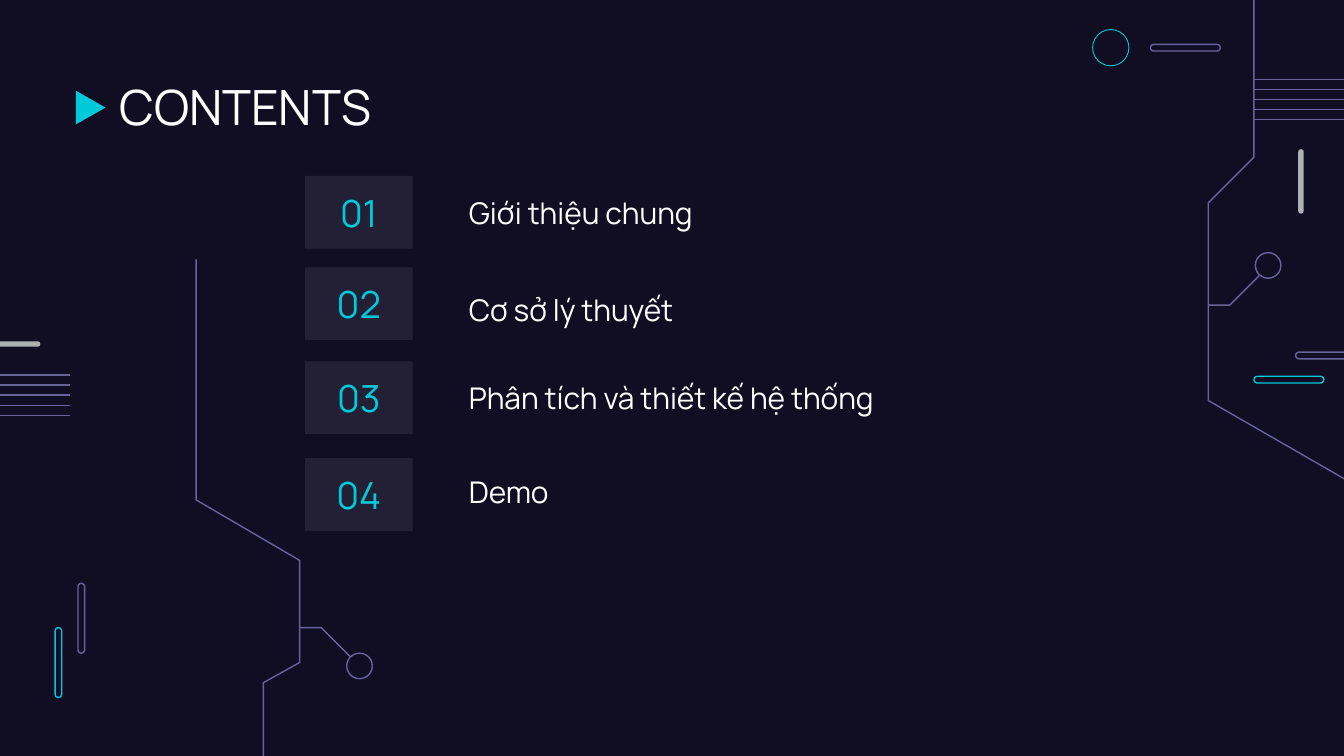
from lxml import etree
from pptx import Presentation
from pptx.dml.color import RGBColor
from pptx.enum.shapes import MSO_CONNECTOR as LINE, MSO_SHAPE as SHAPE
from pptx.enum.text import MSO_ANCHOR as ANCHOR, PP_ALIGN as ALIGN
from pptx.oxml.ns import qn
from pptx.util import Inches, Pt

COLORS = {"night": "110E24", "cyan": "00CADA", "violet": "69639C",
          "silver": "AFAFB6", "white": "FFFFFF"}
FONT = "Manrope"
ROWS = [("01", "Giới thiệu chung", 0, 0),
        ("02", "Cơ sở lý thuyết", 0.68, 0.72),
        ("03", "Phân tích và thiết kế hệ thống", 1.38, 1.38),
        ("04", "Demo", 2.1, 2.08)]


def color(name):
    """Return the palette colour with this name."""
    return RGBColor.from_string(COLORS[name])


def paint(shape, fill=None, line=None, width=0.75):
    """Give a shape a flat fill and an outline, or none."""
    shape.shadow.inherit = False
    if fill:
        shape.fill.solid()
        shape.fill.fore_color.rgb = color(fill)
    else:
        shape.fill.background()
    if line:
        shape.line.color.rgb = color(line)
        shape.line.width = Pt(width)
    else:
        shape.line.fill.background()


def add_preset(page, kind, box, **style):
    """Add a painted preset shape in a box given in inches."""
    shape = page.shapes.add_shape(kind, *map(Inches, box))
    paint(shape, **style)
    return shape


def add_pill(page, box, **style):
    """Add a bar with fully rounded ends."""
    pill = add_preset(page, SHAPE.ROUNDED_RECTANGLE, box, **style)
    pill.adjustments[0] = 0.5


def add_trace(page, left, top, points):
    """Draw an open violet path through points relative to a corner."""
    start, *rest = [(Inches(left + x), Inches(top + y)) for x, y in points]
    builder = page.shapes.build_freeform(*start)
    builder.add_line_segments(rest, close=False)
    paint(builder.convert_to_shape(), line="violet")


def add_branch(page, left, top, way):
    """Draw a branch that ends in a ring, down for way 1 and up for -1."""
    add_trace(page, left, top, [(0, 0), (0.16, 0), (0.38, 0.22 * way)])
    ring = (left + 0.35, top + 0.29 * way - 0.1, 0.19, 0.19)
    add_preset(page, SHAPE.OVAL, ring, line="violet")


def add_stripes(page, left, top, length):
    """Draw five evenly spaced horizontal lines."""
    for index in range(5):
        y = Inches(top + 0.3 * index / 4)
        stripe = page.shapes.add_connector(
            LINE.STRAIGHT, Inches(left), y, Inches(left + length), y)
        stripe.line.color.rgb = color("violet")
        stripe.line.width = Pt(0.75)
        etree.SubElement(stripe._element.spPr, qn("a:effectLst"))


def add_right_circuit(page, left, top):
    """Draw the circuit at the right edge."""
    add_trace(page, left, top, [(1.13, 3.63), (0, 2.98), (0, 1.51),
                                (0.34, 1.17), (0.34, -0.06)])
    add_branch(page, left, top + 2.27, -1)
    add_stripes(page, left + 0.34, top + 0.59, 1.47)
    add_preset(page, SHAPE.OVAL, (left - 0.86, top + 0.22, 0.27, 0.27),
               line="cyan", width=0.47)
    for x, y, tint in [(-0.43, 0.33, "violet"), (0.65, 2.62, "violet"),
                       (0.34, 2.8, "cyan")]:
        add_pill(page, (left + x, top + y, 0.52, 0.05), line=tint)
    add_pill(page, (left + 0.67, top + 1.11, 0.04, 0.48), fill="silver")


def add_left_circuit(page, left, top):
    """Draw the circuit at the left edge."""
    add_trace(page, left, top, [(1.46, 1.93), (1.46, 3.72), (2.23, 4.17),
                                (2.23, 4.93), (1.96, 5.08), (1.96, 5.71)])
    add_branch(page, left + 2.23, top + 4.67, 1)
    add_stripes(page, left - 0.61, top + 2.79, 1.13)
    for x, y, tint in [(0.41, 4.67, "cyan"), (0.58, 4.34, "violet")]:
        add_pill(page, (left + x, top + y, 0.05, 0.52), line=tint)
    add_pill(page, (left - 0.18, top + 2.54, 0.48, 0.04), fill="silver")


def write(shape, text, size, tint, align=ALIGN.LEFT, anchor=ANCHOR.MIDDLE):
    """Write one line of text into a shape."""
    frame = shape.text_frame
    inset = Inches(0.1)
    layout = {"word_wrap": True, "vertical_anchor": anchor,
              "margin_left": inset, "margin_right": inset,
              "margin_top": inset, "margin_bottom": inset}
    for name, value in layout.items():
        setattr(frame, name, value)
    para = frame.paragraphs[0]
    para.alignment = align
    span = para.add_run()
    span.text = text
    for name, value in {"name": FONT, "size": Pt(size)}.items():
        setattr(span.font, name, value)
    span.font.color.rgb = color(tint)


def add_heading(page, left, top):
    """Place the heading with its pointer."""
    pointer = add_preset(page, SHAPE.FLOWCHART_MERGE,
                         (left, top + 0.22, 0.25, 0.22), fill="cyan")
    pointer.rotation = 270
    box = page.shapes.add_textbox(*map(Inches, (left + 0.24, top, 8.43, 0.63)))
    write(box, "CONTENTS", 26, "white", anchor=ANCHOR.TOP)


def add_contents(page, left, top):
    """Place the numbered rows of the contents."""
    for number, label, number_top, label_top in ROWS:
        tile = add_preset(page, SHAPE.RECTANGLE,
                          (left, top + number_top, 0.8, 0.54), fill="white")
        tint = tile._element.spPr.find(qn("a:solidFill"))[0]
        etree.SubElement(tint, qn("a:alpha"), val="8000")
        write(tile, number, 20, "cyan", ALIGN.CENTER)
        place = (left + 1.12, top + label_top, 3.51, 0.54)
        box = page.shapes.add_textbox(*map(Inches, place))
        write(box, label, 16, "white")


def main():
    """Build the contents slide and save it."""
    deck = Presentation()
    deck.slide_width, deck.slide_height = Inches(10), Inches(10) * 9 // 16
    page = deck.slides.add_slide(deck.slide_layouts[6])
    page.background.fill.solid()
    page.background.fill.fore_color.rgb = color("night")
    add_right_circuit(page, 8.99, 0)
    add_left_circuit(page, 0, 0)
    add_heading(page, 0.55, 0.47)
    add_contents(page, 2.27, 1.31)
    deck.save("out.pptx")


if __name__ == "__main__":
    main()
